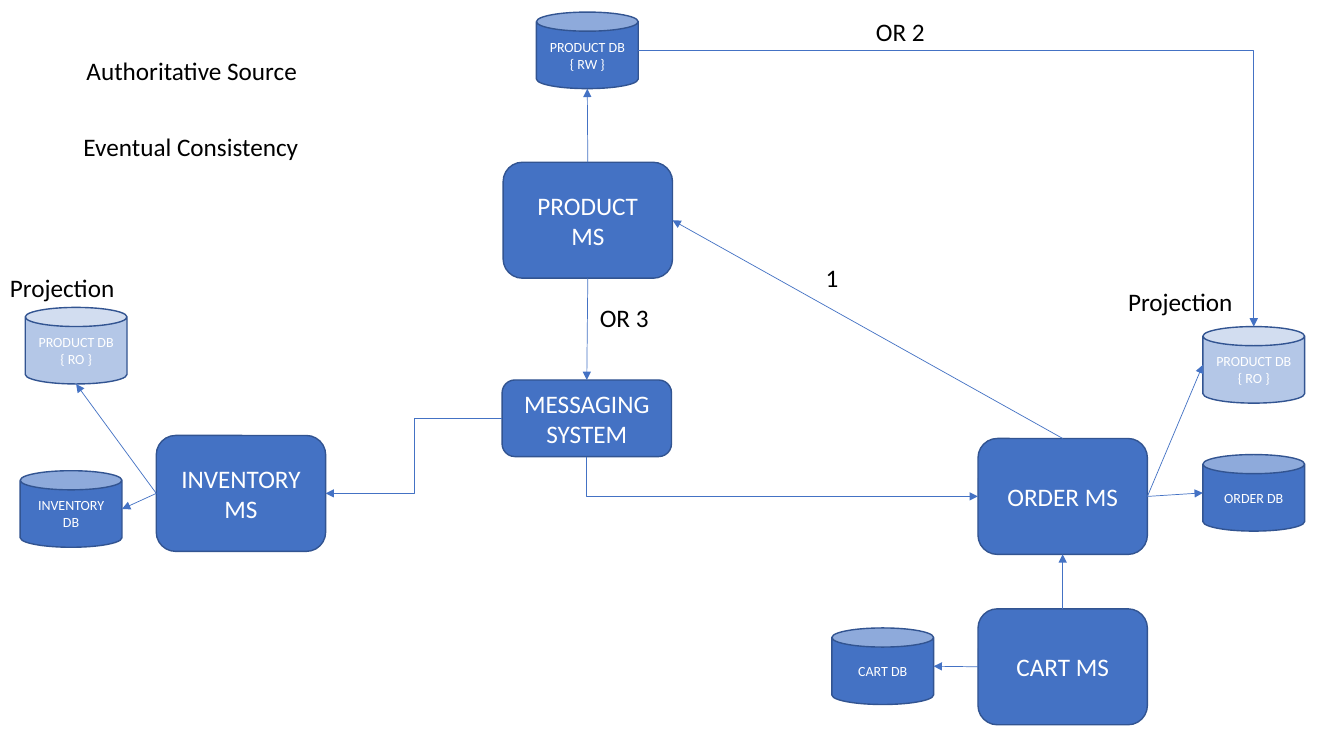
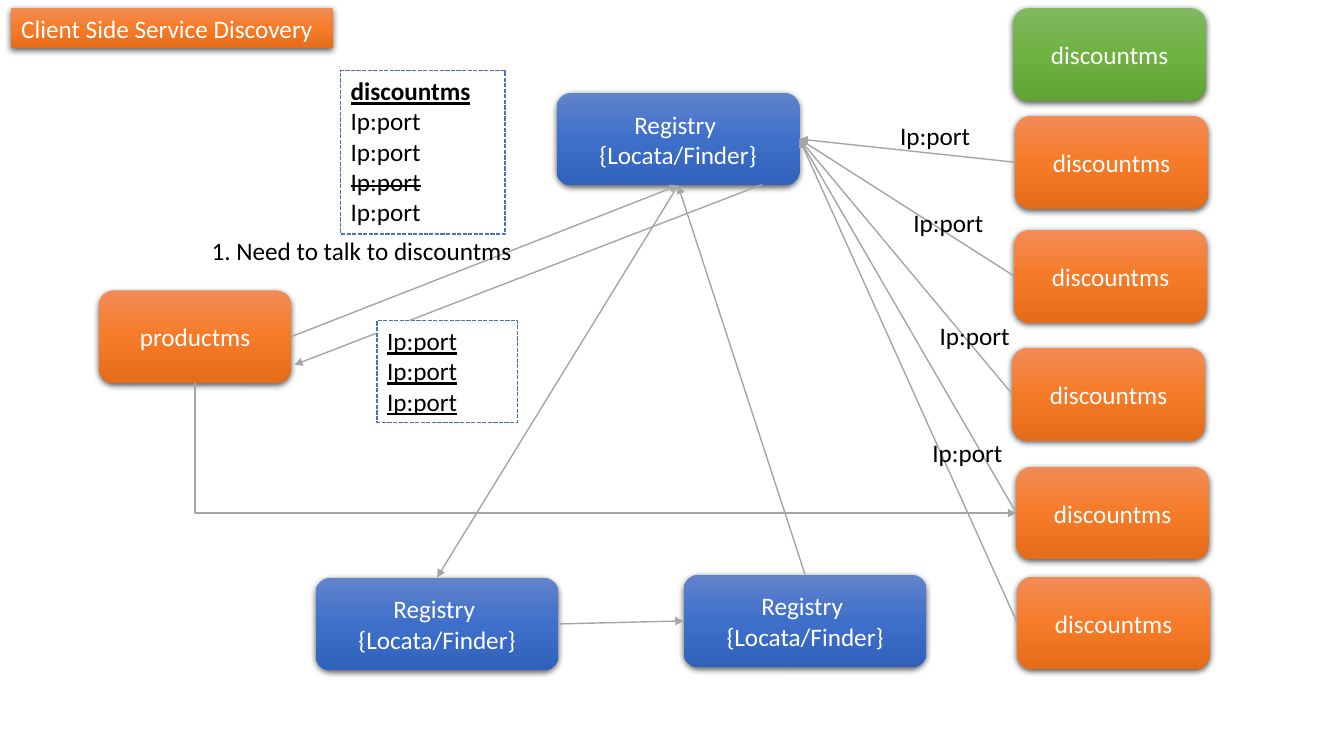
"""Build two service diagrams: data ownership and client side discovery."""
from copy import deepcopy

from lxml.etree import SubElement
from pptx import Presentation
from pptx.dml.color import RGBColor
from pptx.enum.dml import MSO_LINE
from pptx.enum.shapes import MSO_CONNECTOR, MSO_SHAPE
from pptx.enum.text import MSO_ANCHOR, MSO_AUTO_SIZE, PP_ALIGN
from pptx.oxml.ns import qn
from pptx.util import Inches, Pt

FONT = "Calibri"
WHITE = RGBColor(0xFF, 0xFF, 0xFF)
BLACK = RGBColor(0, 0, 0)
BLUE = RGBColor(0x44, 0x72, 0xC4)
NAVY = RGBColor(0x32, 0x54, 0x91)
PALE = RGBColor(0xB4, 0xC7, 0xE7)
GREY = RGBColor(0xA5, 0xA5, 0xA5)
ORANGE = [RGBColor(0xF1, 0x8C, 0x57), RGBColor(0xF6, 0x7B, 0x28), RGBColor(0xE5, 0x6C, 0x19)]
ROYAL = [RGBColor(0x61, 0x83, 0xCB), RGBColor(0x3E, 0x70, 0xCA), RGBColor(0x30, 0x62, 0xBB)]
GREEN = [RGBColor(0x81, 0xB8, 0x61), RGBColor(0x6F, 0xB2, 0x42), RGBColor(0x62, 0xA3, 0x36)]

BOX, CAN, RECT = MSO_SHAPE.ROUNDED_RECTANGLE, MSO_SHAPE.CAN, MSO_SHAPE.RECTANGLE
SITES = {BOX: "tlbr", CAN: "-tlbr"}
SIDES = {"t": (0.5, 0), "l": (0, 0.5), "b": (0.5, 1), "r": (1, 0.5)}

UNIT, FLAT, DRUM = (1.68, 1.15), (1.68, 0.76), (1.01, 0.76)
CARD, WIDE = (1.91, 0.92), (2.41, 0.92)

SERVICES = {
    "product": (4.99, 1.61, UNIT, "PRODUCT MS"),
    "stock": (1.55, 4.32, UNIT, "INVENTORY MS"),
    "order": (9.7, 4.35, UNIT, "ORDER MS"),
    "cart": (9.7, 6.04, UNIT, "CART MS"),
    "broker": (4.98, 3.77, FLAT, "MESSAGING SYSTEM"),
}
STORES = {
    "product db": (5.32, 0.12, BLUE, "PRODUCT DB\n{ RW }"),
    "order db": (11.93, 4.51, BLUE, "ORDER DB"),
    "cart db": (8.25, 6.23, BLUE, "CART DB"),
    "stock db": (0.2, 4.67, BLUE, "INVENTORY DB"),
    "order view": (11.93, 3.24, PALE, "PRODUCT DB\n{ RO }"),
    "stock view": (0.25, 3.05, PALE, "PRODUCT DB\n{ RO }"),
}
FLOWS = [
    ("product.t", "product db.b", ""),
    ("order.r", "order db.l", ""),
    ("cart.l", "cart db.r", ""),
    ("stock.l", "stock db.r", ""),
    ("cart.t", "order.b", ""),
    ("order.t", "product.r", ""),
    ("order.r", "order view.l", ""),
    ("product db.r", "order view.t", "across"),
    ("product.b", "broker.t", ""),
    ("broker.b", "order.l", "down"),
    ("broker.l", "stock.r", "step"),
    ("stock.l", "stock view.b", ""),
]
LABELS = [
    (8.09, 2.55, 0.39, "1"),
    (8.59, 0.11, 0.74, "OR 2"),
    (5.85, 2.95, 1.09, "OR 3"),
    (0.76, 0.5, 2.54, "Authoritative Source"),
    (0, 2.65, 2.54, "Projection"),
    (11.09, 2.79, 2.54, "Projection"),
    (0.73, 1.25, 2.54, "Eventual Consistency"),
]

TITLE = "Client Side Service Discovery"
REGISTRY = "Registry \n{Locata/Finder}"
PEERS = [(10.05, 0.08), (10.07, 1.15), (10.06, 2.28), (10.04, 3.45), (10.08, 4.63), (10.09, 5.72)]
NODES = {
    "client": (0.98, 2.88, CARD, ORANGE, "productms"),
    "main": (5.52, 0.92, WIDE, ROYAL, REGISTRY),
    "left": (3.13, 5.73, WIDE, ROYAL, REGISTRY),
    "right": (6.78, 5.7, WIDE, ROYAL, REGISTRY),
}
for i, (x, y) in enumerate(PEERS):
    NODES[f"peer{i}"] = (x, y, CARD, ORANGE if i else GREEN, "discountms")
CALLS = [
    ("client.r", "main.b", ""),
    ((7.56, 1.83), (2.92, 3.62), ""),
    ("client.b", "peer4.l", "down"),
    ("main.b", "left.t", ""),
    ("left.r", "right.l", ""),
    ("right.t", "main.b", ""),
] + [(f"peer{i}.l", "main.r", "") for i in range(1, len(PEERS))]
PORT = "Ip:port"
LISTS = [
    (3.38, 0.7, 1.63, 1.62, [("discountms", "bu"), (PORT, ""), (PORT, ""), (PORT, "s"), (PORT, "")]),
    (3.74, 3.18, 1.39, 1.01, [(PORT, "u")] * 3),
]
HINTS = [(2, 2.29, 3.24, "1. Need to talk to discountms")] + [
    (x, y, 0.94, PORT) for x, y in [(8.83, 1.14), (8.96, 2.01), (9.22, 3.13), (9.15, 4.29)]
]


def write(shape, rows, size, color, align=PP_ALIGN.LEFT, anchor=MSO_ANCHOR.TOP):
    """Put rows of (text, marks) into a shape, one paragraph each."""
    frame = shape.text_frame
    frame.word_wrap = True
    frame.vertical_anchor = anchor
    for i, (text, marks) in enumerate(rows):
        para = frame.add_paragraph() if i else frame.paragraphs[0]
        para.alignment = align
        para.line_spacing = 1.0
        run = para.add_run()
        run.text = text
        font = run.font
        font.name, font.size, font.color.rgb = FONT, Pt(size), color
        if "b" in marks:
            font.bold = True
        if "u" in marks:
            font.underline = True
        if "s" in marks:
            font._element.set("strike", "sngStrike")


def center(shape, text, size):
    """Write white text in the middle of a shape."""
    rows = [(row, "") for row in text.split("\n")]
    write(shape, rows, size, WHITE, PP_ALIGN.CENTER, MSO_ANCHOR.MIDDLE)


def add(slide, kind, x, y, size):
    """Add a preset shape without a shadow."""
    shape = slide.shapes.add_shape(kind, *map(Inches, (x, y, *size)))
    shape.shadow.inherit = False
    return shape


def paint(shape, color, edge):
    """Give a shape a flat fill and a thin line."""
    shape.fill.solid()
    shape.fill.fore_color.rgb = color
    shape.line.color.rgb = edge
    shape.line.width = Pt(1)


def gloss(shape, colors):
    """Give a shape a three-stop gradient and a soft shadow."""
    fill = shape.fill
    fill.gradient()
    fill.gradient_angle = 270
    props = shape._element.spPr
    stops = props.find(qn("a:gradFill")).find(qn("a:gsLst"))
    stops.insert(1, deepcopy(stops[0]))
    for stop, color, pos in zip(fill.gradient_stops, colors, (0, 0.5, 1)):
        stop.color.rgb = color
        stop.position = pos
    shape.line.fill.background()
    shape.shadow.inherit = False
    cast = SubElement(props.find(qn("a:effectLst")), qn("a:outerShdw"), blurRad="57150",
                      dist="19050", dir="5400000", algn="ctr", rotWithShape="0")
    tone = SubElement(cast, qn("a:srgbClr"), val="000000")
    SubElement(tone, qn("a:alpha"), val="63000")


def locate(end, parts):
    """Return the point of a link end, with its shape and site if it has one."""
    if isinstance(end, tuple):
        return [Inches(n) for n in end], None
    name, side = end.split(".")
    shape = parts[name]
    across, down = SIDES[side]
    point = [int(shape.left + across * shape.width), int(shape.top + down * shape.height)]
    return point, (shape.shape_id, SITES[shape.auto_shape_type].index(side))


def link(slide, parts, links, color, width):
    """Draw arrows between parts; a bend is across, down or step."""
    for start, stop, bend in links:
        ends = [locate(start, parts), locate(stop, parts)]
        tip = "a:tailEnd"
        if bend == "down":
            ends.reverse()
            tip = "a:headEnd"
        kind = MSO_CONNECTOR.ELBOW if bend else MSO_CONNECTOR.STRAIGHT
        line = slide.shapes.add_connector(kind, *ends[0][0], *ends[1][0])
        line.line.color.rgb = color
        line.line.width = Pt(width)
        props = line._element.spPr
        if bend in ("across", "down"):
            props.find(qn("a:prstGeom")).set("prst", "bentConnector2")
        SubElement(props.find(qn("a:ln")), qn(tip), type="triangle")
        SubElement(props, qn("a:effectLst"))
        hold = line._element.find(qn("p:nvCxnSpPr")).find(qn("p:cNvCxnSpPr"))
        for tag, (_, site) in zip(("a:stCxn", "a:endCxn"), ends):
            if site:
                SubElement(hold, qn(tag), id=str(site[0]), idx=str(site[1]))


def label(slide, notes):
    """Add plain black text boxes."""
    for x, y, wide, text in notes:
        box = slide.shapes.add_textbox(*map(Inches, (x, y, wide, 0.4)))
        write(box, [(text, "")], 18, BLACK)
        box.text_frame.auto_size = MSO_AUTO_SIZE.SHAPE_TO_FIT_TEXT


def owners(deck):
    """Build the slide of services and their stores."""
    slide = deck.slides.add_slide(deck.slide_layouts[6])
    parts = {}
    for name, (x, y, size, text) in SERVICES.items():
        parts[name] = add(slide, BOX, x, y, size)
        paint(parts[name], BLUE, NAVY)
        center(parts[name], text, 18)
    for name, (x, y, color, text) in STORES.items():
        parts[name] = add(slide, CAN, x, y, DRUM)
        paint(parts[name], color, NAVY)
        center(parts[name], text, 10)
    link(slide, parts, FLOWS, BLUE, 0.5)
    label(slide, LABELS)


def finder(deck):
    """Build the slide of client side discovery."""
    slide = deck.slides.add_slide(deck.slide_layouts[5])
    title = slide.shapes.title
    title.left, title.top, title.width, title.height = map(Inches, (0.11, 0.08, 3.19, 0.4))
    gloss(title, ORANGE)
    write(title, [(TITLE, "")], 18, WHITE)
    title.text_frame.auto_size = MSO_AUTO_SIZE.NONE
    parts = {}
    for name, (x, y, size, colors, text) in NODES.items():
        parts[name] = add(slide, BOX, x, y, size)
        gloss(parts[name], colors)
        center(parts[name], text, 18)
    link(slide, parts, CALLS, GREY, 1)
    for x, y, wide, high, rows in LISTS:
        box = add(slide, RECT, x, y, (wide, high))
        paint(box, WHITE, BLUE)
        box.line.dash_style = MSO_LINE.SQUARE_DOT
        write(box, rows, 18, BLACK)
    label(slide, HINTS)


def main():
    """Build and save the deck."""
    deck = Presentation()
    deck.slide_width, deck.slide_height = Inches(13.33), Inches(7.5)
    owners(deck)
    finder(deck)
    deck.save("out.pptx")


if __name__ == "__main__":
    main()
